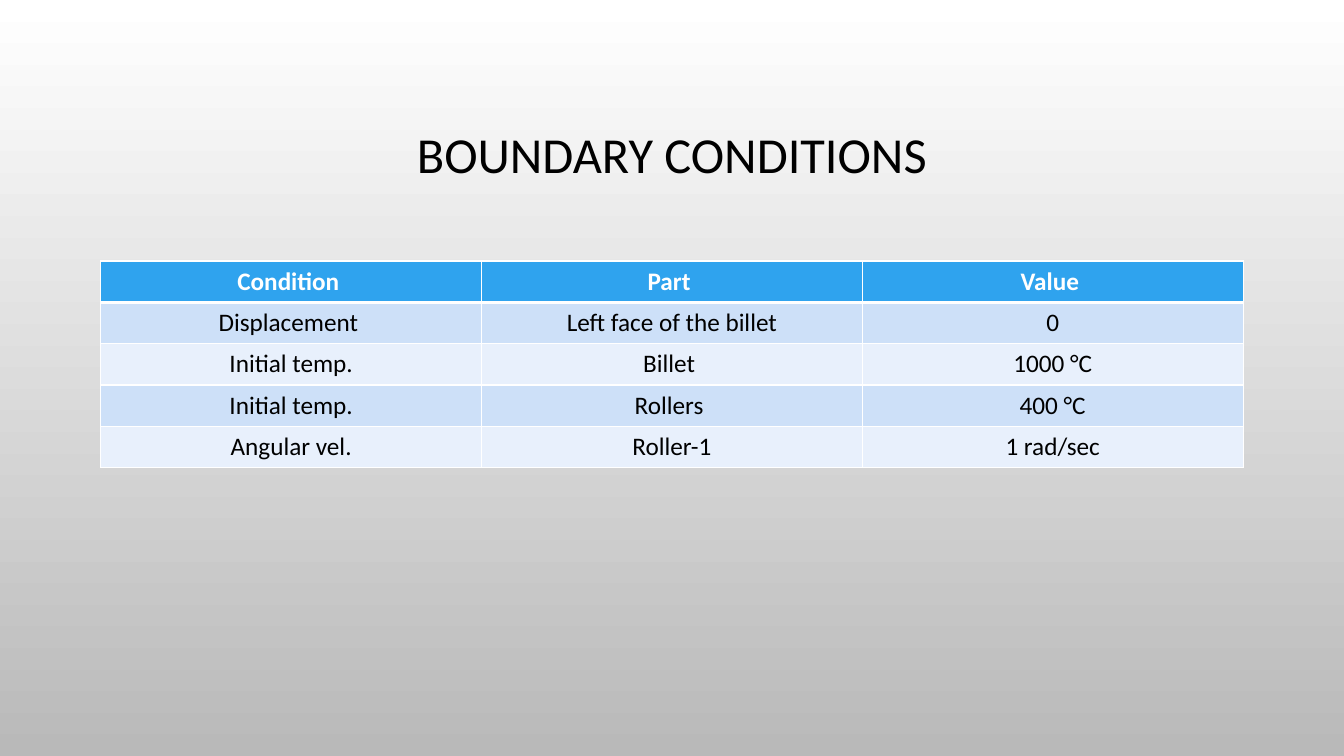
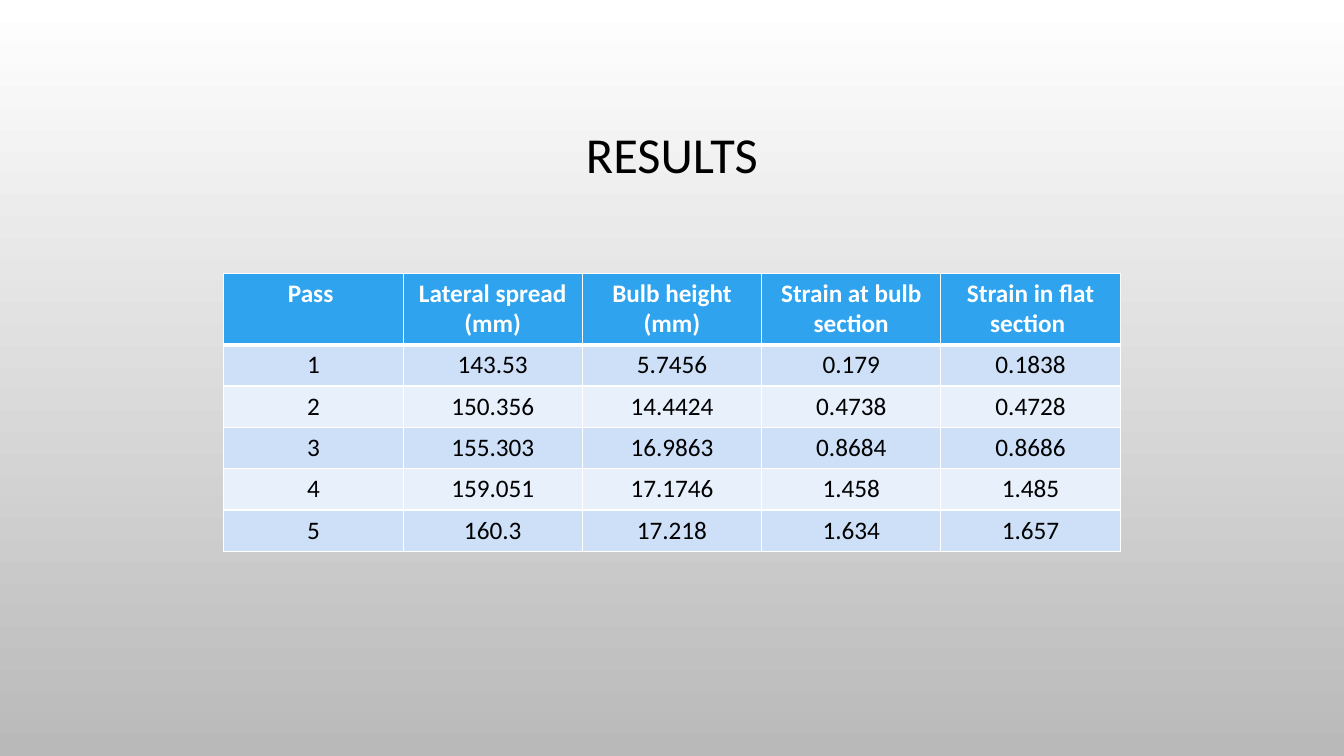
from lxml import etree
from pptx import Presentation
from pptx.dml.color import RGBColor
from pptx.enum.text import MSO_ANCHOR, PP_ALIGN
from pptx.oxml.ns import qn
from pptx.util import Inches, Pt

CENTER = PP_ALIGN.CENTER
MIDDLE = MSO_ANCHOR.MIDDLE

FONT = "Calibri"
BLACK, WHITE, GRAY = "000000", "FFFFFF", "B9B9B9"
HEAD = "2FA3EE"
BANDS = ("CDE0F8", "E8F0FC")
WIDE, HIGH = 13.33, 7.5
ROW = 0.41

LIMITS = [
    ["Condition ", "Part ", "Value "],
    ["Displacement ", "Left face of the billet", "0"],
    ["Initial temp.", "Billet ", "1000 °C"],
    ["Initial temp.", "Rollers ", "400 °C"],
    ["Angular vel.", "Roller-1", "1 rad/sec"],
]
RESULTS = [
    ["Pass ", "Lateral spread (mm)", "Bulb height\n(mm)",
     "Strain at bulb section", "Strain in flat section "],
    ["1", "143.53", "5.7456", "0.179", "0.1838"],
    ["2", "150.356", "14.4424", "0.4738", "0.4728"],
    ["3", "155.303", "16.9863", "0.8684", "0.8686"],
    ["4", "159.051", "17.1746", "1.458", "1.485"],
    ["5", "160.3", "17.218", "1.634", "1.657"],
]


def rgb(code):
    return RGBColor.from_string(code)


def write(frame, text, size, color, bold=False, spacing=None):
    """Fill a text frame with one centred paragraph per line of text."""
    for i, line in enumerate(text.split("\n")):
        para = frame.add_paragraph() if i else frame.paragraphs[0]
        para.alignment = CENTER
        para.line_spacing = spacing
        run = para.add_run()
        run.text = line
        font = run.font
        font.name, font.size, font.bold = FONT, Pt(size), bold
        font.color.rgb = rgb(color)


def add_page(deck, title):
    """Add a slide with the shared gradient and title."""
    page = deck.slides.add_slide(deck.slide_layouts[6])
    fill = page.background.fill
    fill.gradient()
    fill.gradient_angle = 270
    for stop, color in zip(fill.gradient_stops, (WHITE, GRAY)):
        stop.color.rgb = rgb(color)
    box = page.shapes.add_textbox(
        Inches(1), Inches(0.68), Inches(WIDE - 2), Inches(1.75))
    frame = box.text_frame
    frame.word_wrap = True
    frame.vertical_anchor = MIDDLE
    write(frame, title, 36, BLACK, spacing=0.9)
    return page


def add_edge(cell, side, width):
    props = cell._tc.get_or_add_tcPr()
    line = etree.SubElement(props, qn(f"a:ln{side}"), w=str(Pt(width)))
    fill = etree.SubElement(line, qn("a:solidFill"))
    etree.SubElement(fill, qn("a:srgbClr"), val=WHITE)


def style_cell(cell, text, row):
    is_head = row == 0
    edges = {"L": 1, "R": 1, "T": 3 if row == 1 else 1, "B": 3 if is_head else 1}
    for side, width in edges.items():
        add_edge(cell, side, width)
    cell.fill.solid()
    cell.fill.fore_color.rgb = rgb(HEAD if is_head else BANDS[(row - 1) % 2])
    write(cell.text_frame, text, 18, WHITE if is_head else BLACK, is_head)


def add_grid(page, rows, top, width, head=ROW):
    """Add a table centred across the slide, with equal columns."""
    count = len(rows[0])
    height = head + ROW * (len(rows) - 1)
    table = page.shapes.add_table(
        len(rows), count, Inches((WIDE - width) / 2), Inches(top),
        Inches(width), Inches(height)).table
    table.horz_banding = False
    for col in table.columns:
        col.width = Inches(width / count)
    for r, texts in enumerate(rows):
        table.rows[r].height = Inches(ROW if r else head)
        for c, text in enumerate(texts):
            style_cell(table.cell(r, c), text, r)


def main():
    deck = Presentation()
    deck.slide_width, deck.slide_height = Inches(WIDE), Inches(HIGH)
    add_grid(add_page(deck, "BOUNDARY CONDITIONS"), LIMITS, 2.59, 11.33)
    add_grid(add_page(deck, "RESULTS"), RESULTS, 2.71, 8.89, head=0.71)
    deck.save("out.pptx")


if __name__ == "__main__":
    main()
